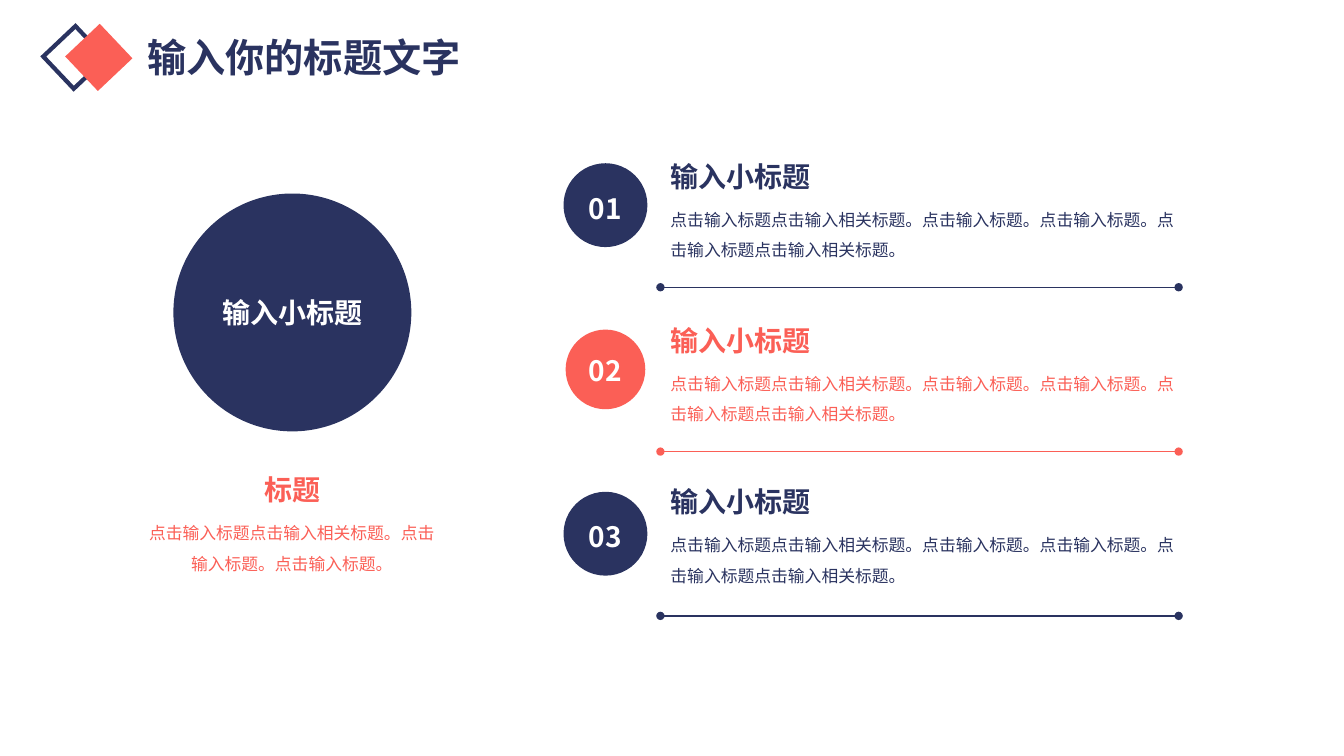
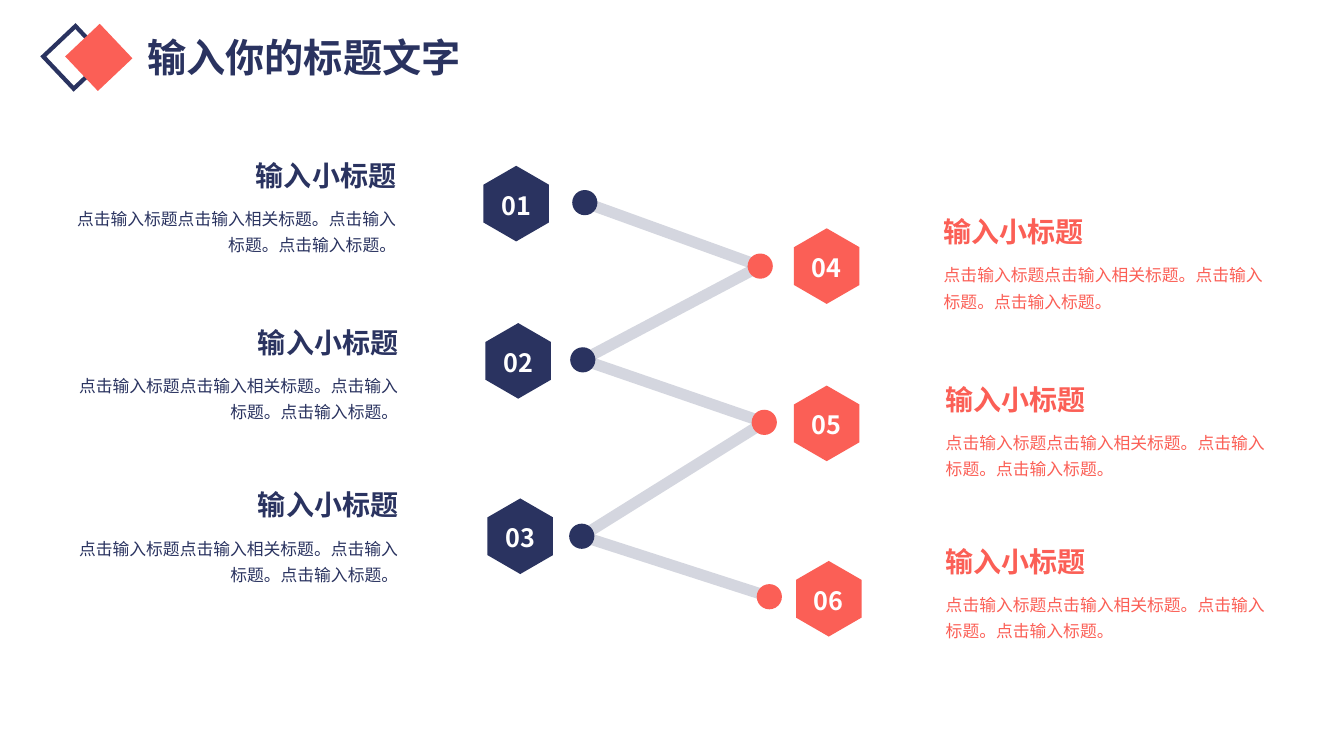
from math import cos, radians, sin

from lxml import etree
from pptx import Presentation
from pptx.dml.color import RGBColor
from pptx.enum.shapes import MSO_CONNECTOR, MSO_SHAPE
from pptx.enum.text import MSO_ANCHOR, MSO_AUTO_SIZE, PP_ALIGN
from pptx.oxml.ns import qn
from pptx.util import Inches, Pt

STRAIGHT = MSO_CONNECTOR.STRAIGHT
RECTANGLE, ELLIPSE = MSO_SHAPE.RECTANGLE, MSO_SHAPE.OVAL
TOP, MIDDLE = MSO_ANCHOR.TOP, MSO_ANCHOR.MIDDLE
LEFT, CENTER, RIGHT = PP_ALIGN.LEFT, PP_ALIGN.CENTER, PP_ALIGN.RIGHT
GROW = MSO_AUTO_SIZE.SHAPE_TO_FIT_TEXT

NAVY, CORAL, WHITE = "2A3360", "FB5F56", "FFFFFF"
FONT = "Noto Sans CJK SC"
INSETS = (0.1, 0.05, 0.1, 0.05)
NO_INSETS = (0, 0, 0, 0)

TITLE = "输入你的标题文字"
SUBTITLE = "输入小标题"
SHORT_BODY = "点击输入标题点击输入相关标题。点击输入标题。点击输入标题。"
LONG_BODY = SHORT_BODY + "点击输入标题点击输入相关标题。"

ROWS = [
    ("01", NAVY, 1.53, 3, 0.06),
    ("02", CORAL, 3.16, None, 0.02),
    ("03", NAVY, 4.76, 3, 0.06),
]
ROW_TOP, ROW_PITCH, BADGE_SIZE = 1.64, 1.63, 0.79
RULE_OFFSET, RULE_LEFT, RULE_RIGHT = 1.21, 6.55, 11.69

ZIGZAG = [
    ("01", NAVY, (5.12, 2.02), (5.80, 2.01), (0.72, 2.01)),
    ("04", CORAL, (8.20, 2.64), (7.54, 2.64), (9.36, 2.57)),
    ("02", NAVY, (5.14, 3.58), (5.78, 3.57), (0.74, 3.67)),
    ("05", CORAL, (8.20, 4.20), (7.58, 4.19), (9.38, 4.23)),
    ("03", NAVY, (5.16, 5.32), (5.77, 5.32), (0.74, 5.28)),
    ("06", CORAL, (8.22, 5.94), (7.63, 5.92), (9.38, 5.84)),
]
DOT_SIZE, HEXAGON_RADIUS = 0.25, 0.375
SIDES = {NAVY: (RIGHT, 3.21), CORAL: (LEFT, 3.28)}


def rgb(color):
    return RGBColor.from_string(color)


def write(shape, text, size, color, bold=False, align=LEFT, spacing=None,
          insets=INSETS, anchor=TOP, wrap=True):
    frame = shape.text_frame
    frame.word_wrap = wrap
    frame.vertical_anchor = anchor
    (frame.margin_left, frame.margin_top,
     frame.margin_right, frame.margin_bottom) = map(Inches, insets)
    para = frame.paragraphs[0]
    para.alignment = align
    if spacing:
        para.line_spacing = spacing
    span = para.add_run()
    span.text = text
    span.font.size = Pt(size)
    span.font.bold = bold
    span.font.color.rgb = rgb(color)
    span.font.name = FONT
    properties = span.font._element
    etree.SubElement(properties, qn("a:ea"), typeface=FONT)


def add_text(page, bounds, text, size, color, **style):
    box = page.shapes.add_textbox(*map(Inches, bounds))
    write(box, text, size, color, **style)
    box.text_frame.auto_size = GROW


def add_label(shape, text, size, sink=0):
    write(shape, text, size, WHITE, bold=True, align=CENTER,
          insets=(0, sink, 0, 0), anchor=MIDDLE, wrap=False)


def paint(shape, fill=None, outline=None, width=None):
    shape.shadow.inherit = False
    if fill:
        shape.fill.solid()
        shape.fill.fore_color.rgb = rgb(fill)
    else:
        shape.fill.background()
    if width:
        shape.line.color.rgb = rgb(outline or fill)
        shape.line.width = Pt(width)
        outline_xml = shape._element.spPr.find(qn("a:ln"))
        etree.SubElement(outline_xml, qn("a:miter"), lim="800000")
    else:
        shape.line.fill.background()
    return shape


def add_preset(page, preset, bounds, **look):
    return paint(page.shapes.add_shape(preset, *map(Inches, bounds)), **look)


def add_hexagon(page, center, color):
    points = [
        (Inches(center[0] + HEXAGON_RADIUS * sin(radians(angle))),
         Inches(center[1] - HEXAGON_RADIUS * cos(radians(angle))))
        for angle in range(0, 360, 60)
    ]
    builder = page.shapes.build_freeform(*points[0])
    builder.add_line_segments(points[1:], close=True)
    return paint(builder.convert_to_shape(), fill=color)


def add_line(page, start, end, color, width, opacity=None, oval_ends=False):
    line = page.shapes.add_connector(STRAIGHT, *map(Inches, start + end))
    line.line.color.rgb = rgb(color)
    line.line.width = Pt(width)
    properties = line._element.spPr
    stroke = properties.find(qn("a:ln"))
    if opacity:
        color_xml = stroke.find(".//" + qn("a:srgbClr"))
        etree.SubElement(color_xml, qn("a:alpha"), val=str(opacity * 1000))
    if oval_ends:
        for end_name in ("a:headEnd", "a:tailEnd"):
            etree.SubElement(stroke, qn(end_name), type="oval")
    etree.SubElement(properties, qn("a:effectLst"))


def add_page(deck):
    page = deck.slides.add_slide(deck.slide_layouts[6])
    frame = add_preset(page, RECTANGLE, (0.52, 0.35, 0.44, 0.44),
                       outline=NAVY, width=3)
    diamond = add_preset(page, RECTANGLE, (0.81, 0.4, 0.34, 0.34),
                         fill=CORAL, width=9.5)
    frame.rotation = diamond.rotation = 46.6
    add_text(page, (0.74, 0.28, 4.55, 0.57), TITLE, 28, NAVY,
             bold=True, align=CENTER)
    return page


def build_list_page(deck):
    page = add_page(deck)
    circle = add_preset(page, ELLIPSE, (1.72, 1.92, 2.36, 2.36), fill=NAVY)
    add_label(circle, SUBTITLE, 20)
    add_text(page, (2.02, 4.64, 1.77, 0.44), "标题", 20, CORAL,
             bold=True, align=CENTER)
    add_text(page, (1.41, 5.09, 2.97, 0.57), SHORT_BODY, 12, CORAL,
             align=CENTER, spacing=1.5, insets=NO_INSETS)
    for index, (number, color, text_top, outline, sink) in enumerate(ROWS):
        top = ROW_TOP + index * ROW_PITCH
        rule_y = top + RULE_OFFSET
        add_line(page, (RULE_LEFT, rule_y), (RULE_RIGHT, rule_y), color, 1,
                 oval_ends=True)
        add_text(page, (6.55, text_top, 2.9, 0.44), SUBTITLE, 20, color,
                 bold=True)
        add_text(page, (6.65, text_top + 0.45, 5.14, 0.57), LONG_BODY, 12,
                 color, spacing=1.5, insets=NO_INSETS)
        badge = add_preset(page, ELLIPSE, (5.61, top, BADGE_SIZE, BADGE_SIZE),
                           fill=color, width=outline)
        add_label(badge, number, 20, sink)


def build_zigzag_page(deck):
    page = add_page(deck)
    dots = [node[3] for node in ZIGZAG]
    for start, end in zip(dots, dots[1:]):
        add_line(page, start, end, NAVY, 8, opacity=20)
    for number, color, center, dot, (left, top) in ZIGZAG:
        add_preset(page, ELLIPSE,
                   (dot[0] - DOT_SIZE / 2, dot[1] - DOT_SIZE / 2,
                    DOT_SIZE, DOT_SIZE), fill=color)
        add_label(add_hexagon(page, center, color), number, 18, 0.03)
        align, width = SIDES[color]
        add_text(page, (left, top - 0.44, width, 0.34), SUBTITLE, 20, color,
                 bold=True, align=align, insets=NO_INSETS)
        add_text(page, (left, top, width, 0.51), SHORT_BODY, 12, color,
                 align=align, spacing=1.3, insets=NO_INSETS)


def main():
    deck = Presentation()
    deck.slide_width, deck.slide_height = Inches(13.33), Inches(7.5)
    build_list_page(deck)
    build_zigzag_page(deck)
    deck.save("out.pptx")


if __name__ == "__main__":
    main()
